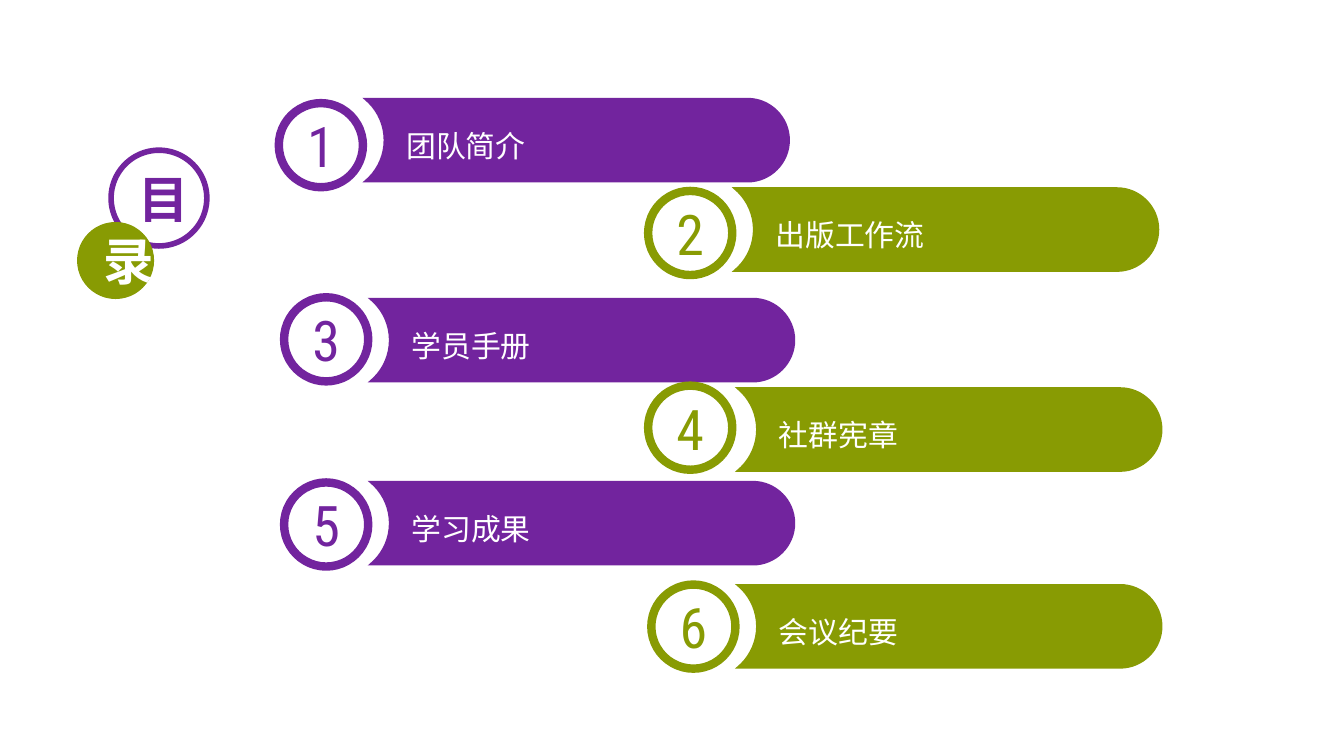
from lxml.etree import Element, SubElement
from pptx import Presentation
from pptx.dml.color import RGBColor
from pptx.enum.shapes import MSO_SHAPE as SHAPE
from pptx.enum.text import MSO_ANCHOR as ANCHOR, PP_ALIGN as ALIGN
from pptx.oxml.ns import qn
from pptx.util import Cm, Pt

PURPLE, GREEN, WHITE = "72249E", "889B03", "FFFFFF"
CJK, DIGITS = "Noto Sans CJK SC", "Roboto Condensed"
BAR_W, BAR_H, RING_W = 8.08, 1.6, 1.59
HALF = BAR_H / 2
CAP_X = BAR_W - HALF
PULL = 0.55 * HALF  # control distance for a quarter circle

# Bar outline after its top left corner: end point, then controls if curved (cm)
BAR_OUTLINE = [
    ((CAP_X, 0), ()),
    ((BAR_W, HALF), ((CAP_X + PULL, 0), (BAR_W, HALF - PULL))),
    ((CAP_X, BAR_H), ((BAR_W, HALF + PULL), (CAP_X + PULL, BAR_H))),
    ((0, BAR_H), ()),
    ((0.11, BAR_H - 0.1), ()),
    ((0.4, HALF), ((0.29, BAR_H - 0.28), (0.4, HALF + 0.27))),
    ((0.11, 0.1), ((0.4, HALF - 0.27), (0.29, 0.28))),
]

# label, bar left and top, ring left and top (cm)
ENTRIES = [
    ("团队简介", 6.85, 1.85, 5.27, 1.95),
    ("出版工作流", 13.83, 3.54, 12.25, 3.61),
    ("学员手册", 6.95, 5.63, 5.37, 5.62),
    ("社群宪章", 13.89, 7.32, 12.25, 7.29),
    ("学习成果", 6.95, 9.09, 5.37, 9.12),
    ("会议纪要", 13.89, 11.04, 12.31, 11.05),
]


def rgb(value):
    return RGBColor.from_string(value)


def curve(line, controls):
    """Turn a straight path segment into a cubic one that ends at the same point."""
    bezier = Element(qn("a:cubicBezTo"))
    for x, y in controls:
        pt = SubElement(bezier, qn("a:pt"))
        pt.set("x", str(int(Cm(x))))
        pt.set("y", str(int(Cm(y))))
    bezier.append(line[0])
    line.getparent().replace(line, bezier)


class ContentsSlide:
    """Holds the style and the current slide."""

    def __init__(self, slide):
        self.s = slide

    def text(self, sp, text, size, font, color, align, bold=False):
        tf = sp.text_frame
        tf.text = text
        tf.word_wrap = True
        tf.vertical_anchor = ANCHOR.MIDDLE
        p = tf.paragraphs[0]
        p.alignment = align
        r = p.runs[0]
        r.font.size, r.font.name, r.font.bold = Pt(size), font, bold
        r.font.color.rgb = rgb(color)
        SubElement(r.font._element, qn("a:ea")).set("typeface", font)
        return tf

    def bar(self, x, y, label, color):
        """Bar with a round right end and a notch for the ring on the left."""
        builder = self.s.shapes.build_freeform(Cm(x), Cm(y))
        builder.add_line_segments(
            [(Cm(x + px), Cm(y + py)) for (px, py), _ in BAR_OUTLINE], close=True)
        sp = builder.convert_to_shape()
        lines = list(sp._element.iter(qn("a:lnTo")))
        for line, (_, controls) in zip(lines, BAR_OUTLINE):
            if controls:
                curve(line, controls)
        sp.shadow.inherit = False
        sp.fill.solid()
        sp.fill.fore_color.rgb = rgb(color)
        sp.line.fill.background()
        tf = self.text(sp, label, 16, CJK, WHITE, ALIGN.LEFT)
        tf.paragraphs[0].line_spacing = 1.3
        tf.margin_left = Cm(0.83)
        tf.margin_top = tf.margin_right = tf.margin_bottom = 0

    def circle(self, x, y, size, color, weight, filled=False):
        sp = self.s.shapes.add_shape(SHAPE.OVAL, Cm(x), Cm(y), Cm(size), Cm(size))
        sp.shadow.inherit = False
        if filled:
            sp.fill.solid()
            sp.fill.fore_color.rgb = rgb(color)
        else:
            sp.fill.background()
        sp.line.color.rgb = rgb(color)
        sp.line.width = Pt(weight)
        return sp

    def ring(self, x, y, number, color):
        sp = self.circle(x, y, RING_W, color, 4.5)
        self.text(sp, str(number), 30, DIGITS, color, ALIGN.CENTER)

    def title_disc(self, x, y, size, char, color, text_color, filled):
        sp = self.circle(x, y, size, color, 3, filled)
        self.text(sp, char, 27, CJK, text_color, ALIGN.CENTER, bold=True)


def main():
    prs = Presentation()
    prs.slide_width, prs.slide_height = Cm(25.4), Cm(14.29)
    contents = ContentsSlide(prs.slides.add_slide(prs.slide_layouts[6]))

    for number, (label, bar_x, bar_y, ring_x, ring_y) in enumerate(ENTRIES, 1):
        color = PURPLE if number % 2 else GREEN
        contents.bar(bar_x, bar_y, label, color)
        contents.ring(ring_x, ring_y, number, color)

    contents.title_disc(2.1, 2.84, 1.81, "目", PURPLE, PURPLE, False)
    contents.title_disc(1.51, 4.25, 1.35, "录", GREEN, WHITE, True)

    prs.save("out.pptx")


if __name__ == "__main__":
    main()
